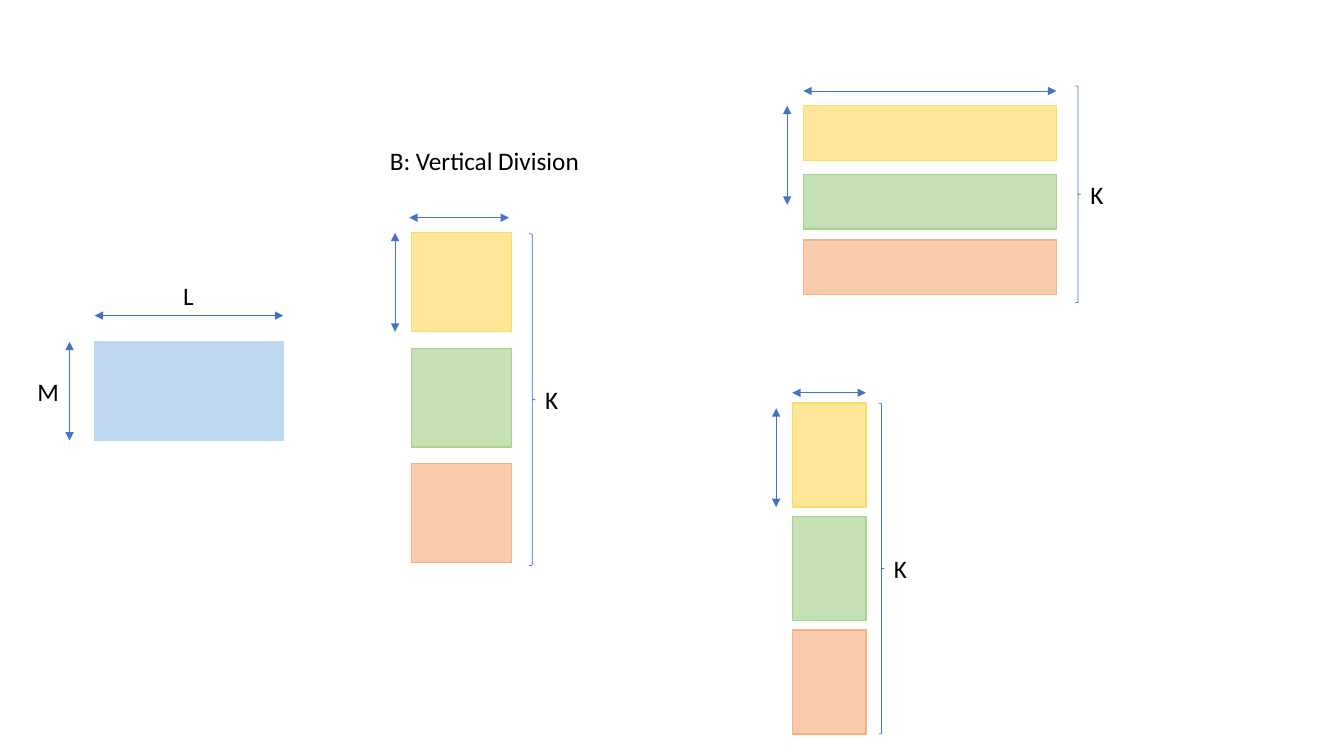
from pptx import Presentation, util as u
from pptx.dml.color import RGBColor
from pptx.enum import shapes, text
from pptx.oxml.ns import qn
from lxml import etree

ARROW_BLUE = "4472C4"
BLOCK_COLORS = [("FFE699", "FFD966"), ("C5E0B4", "A9D18E"), ("F8CBAD", "F4B183")]

presentation = Presentation()
presentation.slide_width = u.Pt(960)
presentation.slide_height = u.Pt(540)
slide = presentation.slides.add_slide(presentation.slide_layouts[6])


def color(hex_string):
    return RGBColor.from_string(hex_string)


def add_outlined(kind, bounds, fill, line, width):
    shape = slide.shapes.add_shape(kind, *[u.Pt(value) for value in bounds])
    shape.shadow.inherit = False
    if fill:
        shape.fill.solid()
        shape.fill.fore_color.rgb = color(fill)
    else:
        shape.fill.background()
    shape.line.color.rgb = color(line)
    shape.line.width = u.Pt(width)


# Undivided block
add_outlined(shapes.MSO_SHAPE.RECTANGLE, (67.7, 244.1, 134.6, 70.6), "BDD7EE", "BDD7EE", 1)

# Divided blocks: left, width, height, tops of the three parts
divisions = [
    (293.8, 71.4, 70.6, [166.2, 248.7, 331.2]),
    (573.8, 180.7, 38.9, [75.6, 124.7, 171.4]),
    (565.9, 52.6, 74.2, [288, 369, 450]),
]
for left, width, height, tops in divisions:
    for top, (fill, line) in zip(tops, BLOCK_COLORS):
        add_outlined(shapes.MSO_SHAPE.RECTANGLE, (left, top, width, height), fill, line, 1)

# Braces spanning the K parts
for bounds in [(378, 167, 4.3, 237), (768.2, 61.4, 3.6, 154.8), (627.8, 288, 3.6, 236.2)]:
    add_outlined(shapes.MSO_SHAPE.RIGHT_BRACE, bounds, None, ARROW_BLUE, 0.5)

# Dimension arrows: height, then width, for each block
arrows = [
    (49.7, 244.1, 49.7, 314.7), (67.7, 225.4, 202.3, 225.4),
    (282.2, 166.3, 282.2, 236.9), (292.3, 155.5, 363.6, 155.5),
    (562.3, 75.6, 562.3, 146.2), (573.8, 65, 754.5, 65),
    (554.4, 291.6, 554.4, 362.2), (565.9, 280.6, 618.5, 280.6),
]
for ends in arrows:
    arrow = slide.shapes.add_connector(
        shapes.MSO_CONNECTOR.STRAIGHT, *[u.Pt(value) for value in ends])
    arrow.line.color.rgb = color(ARROW_BLUE)
    arrow.line.width = u.Pt(0.5)
    line_element = arrow.line._get_or_add_ln()
    for end in ("a:headEnd", "a:tailEnd"):
        etree.SubElement(line_element, qn(end), type="triangle")
    etree.SubElement(arrow._element.spPr, qn("a:effectLst"))

# Labels: words, left, top, width
labels = [
    ("M", 19.6, 265, 30.2), ("L", 123.8, 196.6, 22.3),
    ("B: Vertical Division", 271.4, 100.1, 151.2),
    ("K", 382.3, 270.7, 23.8), ("K", 771.8, 124.6, 23.8), ("K", 631.4, 391.7, 23.8),
]
for words, left, top, width in labels:
    label = slide.shapes.add_textbox(u.Pt(left), u.Pt(top), u.Pt(width), u.Pt(28.8))
    label.text_frame.word_wrap = False
    label.text_frame.auto_size = text.MSO_AUTO_SIZE.SHAPE_TO_FIT_TEXT
    run = label.text_frame.paragraphs[0].add_run()
    run.text = words
    run.font.name = "Calibri"
    run.font.size = u.Pt(18)
    run.font.color.rgb = color("000000")

presentation.save("out.pptx")
